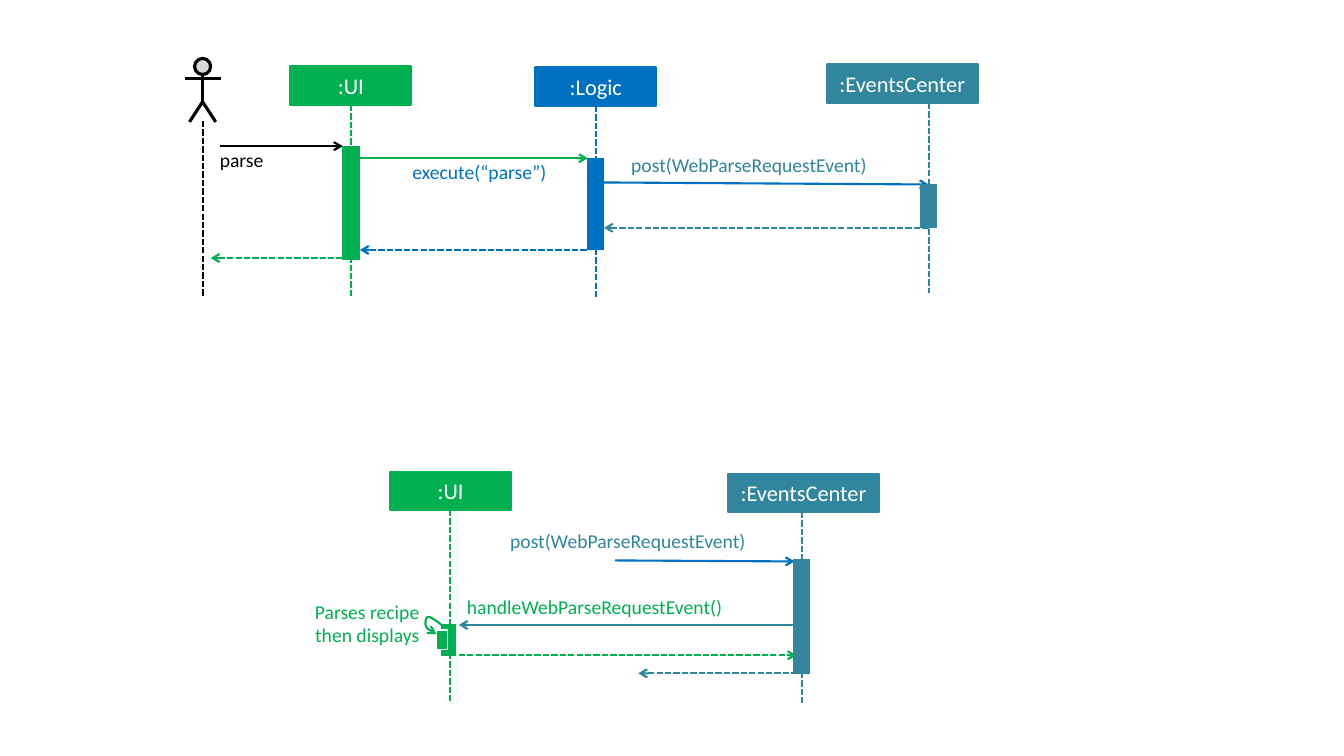
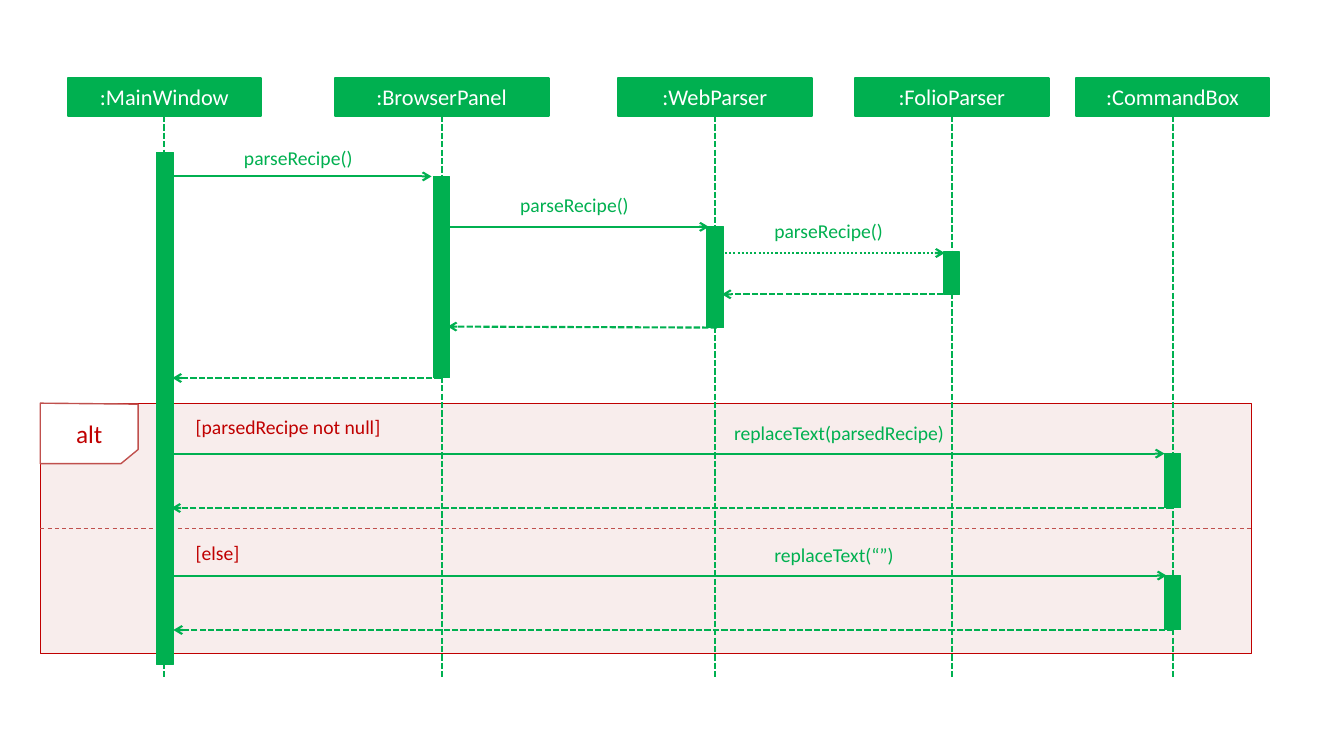
import pptx
import pptx.dml.color
import pptx.enum.dml
import pptx.enum.shapes
import pptx.enum.text
import pptx.oxml
import pptx.oxml.ns
import pptx.util
import lxml.etree

Inches = pptx.util.Inches
Pt = pptx.util.Pt
RGB = pptx.dml.color.RGBColor.from_string
SHAPE = pptx.enum.shapes.MSO_SHAPE
ALIGN = pptx.enum.text.PP_ALIGN
DASH = pptx.enum.dml.MSO_LINE
qn = pptx.oxml.ns.qn

COLORS = {
    "ui": "00B050", "logic": "0070C0", "events": "31859C", "actor": "000000",
    "face": "D9D9D9", "white": "FFFFFF", "alt": "C00000", "alt_edge": "C0504D",
    "alt_fill": "F2DCDB",
}
FONT = "Calibri"
HEAD_HEIGHT = 0.38
LABEL_HEIGHT = 0.24


def add_box(shapes, kind, at, fill, edge, weight, text=None):
    """Preset shape with a flat fill and an optional participant name."""
    box = shapes.add_shape(kind, *[Inches(v) for v in at])
    box.shadow.inherit = False
    box.fill.solid()
    box.fill.fore_color.rgb = RGB(COLORS[fill])
    box.line.color.rgb = RGB(COLORS[edge])
    box.line.width = Pt(weight)
    if text:
        box.text_frame.text = text
        name = box.text_frame.paragraphs[0]
        name.alignment = ALIGN.CENTER
        name.font.name, name.font.size = FONT, Pt(16)
        name.font.color.rgb = RGB(COLORS["white"])
    return box


def add_line(shapes, ends, color, weight=1.5, dash=None, arrow=False):
    """Straight line, with an open arrowhead at its end if asked."""
    line = shapes.add_connector(pptx.enum.shapes.MSO_CONNECTOR.STRAIGHT,
                                *[Inches(v) for v in ends])
    line.line.color.rgb = RGB(COLORS[color])
    line.line.width = Pt(weight)
    if dash:
        line.line.dash_style = dash
    properties = line.element.spPr
    if arrow:
        lxml.etree.SubElement(properties.find(qn("a:ln")), qn("a:tailEnd"), type="arrow")
    lxml.etree.SubElement(properties, qn("a:effectLst"))


deck = pptx.Presentation()
deck.slide_width, deck.slide_height = Inches(13.33), Inches(7.5)
request_slide, parsing_slide = [deck.slides.add_slide(deck.slide_layouts[6]) for _ in range(2)]

CALL, REPLY, DOTTED = None, DASH.SQUARE_DOT, DASH.ROUND_DOT

# Participants: name, head left, top, width, lifeline x, lifeline bottom, colour
# Messages: start x, start y, end x, end y, colour, dash
# Activations: lifeline x, top, width, height, colour
# Labels: text, left, top, width, colour, alignment
request_diagram = {
    "participants": [
        (":UI", 2.88, 0.66, 1.2, 3.48, 2.95, "ui"),
        (":Logic", 5.31, 0.67, 1.2, 5.91, 2.95, "logic"),
        (":EventsCenter", 8.2, 0.64, 1.5, 9.21, 2.91, "events"),
        (":UI", 3.87, 4.68, 1.2, 4.46, 6.96, "ui"),
        (":EventsCenter", 7.22, 4.7, 1.5, 7.95, 6.97, "events"),
    ],
    "messages": [
        (2.18, 1.45, 3.4, 1.45, "actor", CALL),
        (3.57, 1.57, 5.83, 1.57, "ui", CALL),
        (5.96, 1.81, 9.21, 1.83, "logic", CALL),
        (9.21, 2.26, 5.99, 2.26, "events", REPLY),
        (5.82, 2.48, 3.57, 2.48, "logic", REPLY),
        (3.4, 2.56, 2.09, 2.56, "ui", REPLY),
        (6.1, 5.56, 7.88, 5.57, "logic", CALL),
        (7.9, 6.2, 4.55, 6.2, "events", CALL),
        (4.55, 6.5, 7.9, 6.5, "ui", REPLY),
        (7.91, 6.68, 6.33, 6.68, "events", REPLY),
    ],
    "activations": [
        (3.48, 1.45, 0.17, 1.12, "ui"),
        (5.91, 1.57, 0.16, 0.91, "logic"),
        (9.21, 1.83, 0.16, 0.43, "events"),
        (4.46, 6.2, 0.14, 0.3, "ui"),
        (7.95, 5.55, 0.16, 1.13, "events"),
    ],
    "labels": [
        ("parse", 2.18, 1.47, 0.94, "actor", ALIGN.LEFT),
        ("execute(“parse”)", 4.09, 1.59, 1.48, "logic", ALIGN.LEFT),
        ("post(WebParseRequestEvent)", 6.26, 1.52, 2.75, "events", ALIGN.LEFT),
        ("post(WebParseRequestEvent)", 5.06, 5.25, 2.97, "events", ALIGN.LEFT),
        ("handleWebParseRequestEvent()", 4.63, 5.9, 3.12, "ui", ALIGN.LEFT),
        ("Parses recipe then displays", 3.08, 5.95, 1.08, "ui", ALIGN.RIGHT),
    ],
}
parsing_diagram = {
    "participants": [
        (name, x - width / 2, 0.77, width, x, 6.72, "ui")
        for name, x, width in [
            (":MainWindow", 1.63, 1.92), (":BrowserPanel", 4.38, 2.12),
            (":WebParser", 7.09, 1.92), (":FolioParser", 9.44, 1.92),
            (":CommandBox", 11.63, 1.92)]
    ],
    "messages": [
        (1.63, 1.75, 4.28, 1.75, "ui", CALL),
        (4.41, 2.25, 7.03, 2.25, "ui", CALL),
        (7.19, 2.51, 9.37, 2.51, "ui", DOTTED),
        (9.44, 2.92, 7.16, 2.92, "ui", REPLY),
        (7.11, 3.25, 4.44, 3.24, "ui", REPLY),
        (4.37, 3.75, 1.71, 3.75, "ui", REPLY),
        (1.7, 4.5, 11.55, 4.5, "ui", CALL),
        (11.63, 5.04, 1.7, 5.04, "ui", REPLY),
        (1.72, 5.71, 11.57, 5.71, "ui", CALL),
        (11.64, 6.25, 1.72, 6.25, "ui", REPLY),
    ],
    "activations": [
        (1.63, 1.51, 0.17, 5.08, "ui"),
        (4.38, 1.75, 0.16, 2, "ui"),
        (7.09, 2.25, 0.17, 1, "ui"),
        (9.44, 2.5, 0.16, 0.42, "ui"),
        (11.63, 4.5, 0.16, 0.54, "ui"),
        (11.63, 5.71, 0.16, 0.54, "ui"),
    ],
    "labels": [
        ("parseRecipe()", 2.42, 1.45, 1.23, "ui", ALIGN.LEFT),
        ("parseRecipe()", 5.16, 1.91, 1.23, "ui", ALIGN.LEFT),
        ("parseRecipe()", 7.68, 2.17, 1.23, "ui", ALIGN.LEFT),
        ("replaceText(parsedRecipe)", 7.28, 4.18, 2.42, "ui", ALIGN.LEFT),
        ("replaceText(“”)", 7.68, 5.39, 1.23, "ui", ALIGN.LEFT),
        ("[parsedRecipe not null]", 1.94, 4.12, 2.22, "alt", ALIGN.LEFT),
        ("[else]", 1.94, 5.37, 2.22, "alt", ALIGN.LEFT),
    ],
}

# Alternative frame: half-transparent area, divider and corner tag
frame = add_box(parsing_slide.shapes, SHAPE.RECTANGLE, (0.4, 4, 12.01, 2.48),
                "alt_fill", "alt", 0.75)
tint = frame.element.spPr.find(qn("a:solidFill")).find(qn("a:srgbClr"))
lxml.etree.SubElement(tint, qn("a:alpha"), val="50000")
add_line(parsing_slide.shapes, (0.4, 5.24, 12.41, 5.24), "alt_edge", 0.75, DASH.DASH)

outline = parsing_slide.shapes.build_freeform(Inches(0.4), Inches(4))
outline.add_line_segments([(Inches(x), Inches(y)) for x, y in
                           [(1.37, 4.01), (1.37, 4.46), (1.2, 4.6), (0.4, 4.6)]], close=True)
alt_tag = outline.convert_to_shape()
alt_tag.shadow.inherit = False
alt_tag.fill.solid()
alt_tag.fill.fore_color.rgb = RGB(COLORS["white"])
alt_tag.line.color.rgb = RGB(COLORS["alt_edge"])
alt_tag.line.width = Pt(1)
alt_tag.text_frame.text = "alt"
alt_tag.text_frame.vertical_anchor = pptx.enum.text.MSO_ANCHOR.MIDDLE
alt_word = alt_tag.text_frame.paragraphs[0]
alt_word.alignment = ALIGN.CENTER
alt_word.font.name, alt_word.font.size = FONT, Pt(18)
alt_word.font.color.rgb = RGB(COLORS["alt"])

# Sequence diagrams
for slide, diagram in [(request_slide, request_diagram), (parsing_slide, parsing_diagram)]:
    for name, left, top, width, x, bottom, color in diagram["participants"]:
        add_line(slide.shapes, (x, top + HEAD_HEIGHT, x, bottom), color, dash=REPLY)
        add_box(slide.shapes, SHAPE.RECTANGLE, (left, top, width, HEAD_HEIGHT),
                color, color, 1.5, name)
    for *ends, color, dash in diagram["messages"]:
        add_line(slide.shapes, ends, color, dash=dash, arrow=True)
    for x, top, width, height, color in diagram["activations"]:
        add_box(slide.shapes, SHAPE.RECTANGLE, (x - 0.08, top, width, height),
                color, color, 0.75)
    for text, left, top, width, color, alignment in diagram["labels"]:
        label = slide.shapes.add_textbox(Inches(left), Inches(top), Inches(width),
                                         Inches(LABEL_HEIGHT)).text_frame
        label.word_wrap = True
        label.margin_left = label.margin_right = label.margin_top = label.margin_bottom = 0
        label.text = text
        wording = label.paragraphs[0]
        wording.alignment = alignment
        wording.font.name, wording.font.size = FONT, Pt(14)
        wording.font.color.rgb = RGB(COLORS[color])

# Actor with lifeline
add_line(request_slide.shapes, (2.01, 1.2, 2.01, 2.95), "actor", dash=REPLY)
actor = request_slide.shapes.add_group_shape().shapes
add_box(actor, SHAPE.FLOWCHART_CONNECTOR, (1.93, 0.58, 0.16, 0.16), "face", "actor", 2.25)
add_line(actor, (2.01, 0.74, 2.01, 1.02), "actor", 2.25)
add_line(actor, (1.83, 0.78, 2.19, 0.78), "actor", 2.25)
stride = actor.build_freeform(Inches(1.88), Inches(1.21))
stride.add_line_segments([(Inches(2.01), Inches(1.01)), (Inches(2.14), Inches(1.21))],
                         close=False)
legs = stride.convert_to_shape()

# Self call: a curved arrow into a nested activation
add_box(request_slide.shapes, SHAPE.RECTANGLE, (4.33, 6.25, 0.11, 0.19), "ui", "white", 0.75)
curves = [
    [(4.38, 6.2), (4.33, 6.16), (4.27, 6.12), (4.25, 6.12)],
    [(4.25, 6.12), (4.22, 6.12), (4.21, 6.19), (4.23, 6.22)],
    [(4.23, 6.22), (4.24, 6.25), (4.29, 6.27), (4.33, 6.29)],
]
STEPS = 8
loop_points = []
for curve in curves:
    for step in range(1, STEPS + 1):
        t = step / STEPS
        weights = [(1 - t) ** 3, 3 * t * (1 - t) ** 2, 3 * t ** 2 * (1 - t), t ** 3]
        loop_points.append([Inches(sum(w * point[axis] for w, point in zip(weights, curve)))
                            for axis in (0, 1)])
bend = request_slide.shapes.build_freeform(Inches(4.38), Inches(6.2))
bend.add_line_segments(loop_points, close=False)
self_call = bend.convert_to_shape()

for stroke, color, weight in [(legs, "actor", 2.25), (self_call, "ui", 1.5)]:
    stroke.shadow.inherit = False
    stroke.fill.background()
    stroke.line.color.rgb = RGB(COLORS[color])
    stroke.line.width = Pt(weight)
lxml.etree.SubElement(self_call.element.spPr.find(qn("a:ln")), qn("a:tailEnd"), type="arrow")

deck.save("out.pptx")
